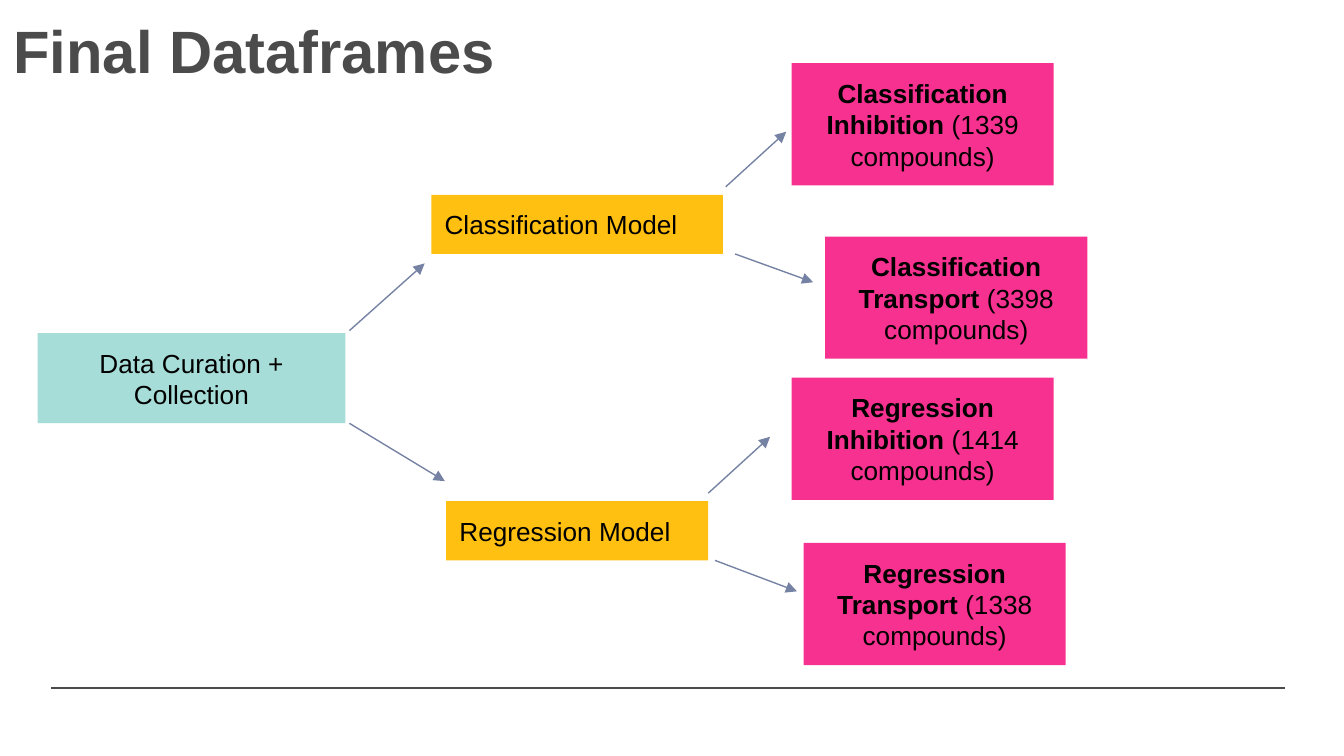
from pptx import Presentation
from pptx.dml.color import RGBColor
from pptx.enum.shapes import MSO_CONNECTOR, MSO_SHAPE
from pptx.enum.text import MSO_ANCHOR, PP_ALIGN
from pptx.oxml.ns import qn
from pptx.util import Inches, Pt
from lxml.etree import SubElement

GREY = RGBColor(0x4B, 0x4B, 0x4B)
BLACK = RGBColor(0, 0, 0)
TEAL = RGBColor(0xA7, 0xDD, 0xD8)
AMBER = RGBColor(0xFF, 0xC0, 0x12)
PINK = RGBColor(0xF7, 0x31, 0x90)
SLATE = RGBColor(0x76, 0x82, 0xA4)


class Board:
    font = "Arial"
    size = 14
    inset = 0.1

    def __init__(self, slide):
        self.slide = slide

    def style(self, run, size, color, bold=False):
        run.font.name = self.font
        run.font.size = Pt(size)
        run.font.color.rgb = color
        run.font.bold = bold

    def frame(self, shape, align):
        text = shape.text_frame
        text.word_wrap = True
        text.vertical_anchor = MSO_ANCHOR.MIDDLE
        text.margin_left = text.margin_right = Inches(self.inset)
        text.margin_top = text.margin_bottom = Inches(self.inset)
        para = text.paragraphs[0]
        para.alignment = align
        return para

    def title(self, words):
        shape = self.slide.shapes.title
        shape.left, shape.top = Inches(0), Inches(0)
        shape.width, shape.height = Inches(10), Inches(0.74)
        shape.text_frame.text = words
        para = self.frame(shape, PP_ALIGN.LEFT)
        self.style(para.runs[0], 32, GREY, True)

    def box(self, x, y, w, h, fill, parts, align=PP_ALIGN.CENTER):
        """Draw a filled box; parts are (words, bold) pairs."""
        shape = self.slide.shapes.add_shape(
            MSO_SHAPE.RECTANGLE, Inches(x), Inches(y), Inches(w), Inches(h))
        shape.shadow.inherit = False
        shape.fill.solid()
        shape.fill.fore_color.rgb = fill
        shape.line.fill.background()
        para = self.frame(shape, align)
        for words, bold in parts:
            run = para.add_run()
            run.text = words
            self.style(run, self.size, BLACK, bold)

    def line(self, start, end, color, arrow=False):
        link = self.slide.shapes.add_connector(
            MSO_CONNECTOR.STRAIGHT, *map(Inches, start + end))
        link.line.color.rgb = color
        link.line.width = Pt(0.75)
        if arrow:
            edge = link._element.spPr.find(qn("a:ln"))
            SubElement(edge, qn("a:tailEnd"), type="triangle")
        SubElement(link._element.spPr, qn("a:effectLst"))


def main():
    # Widescreen slide, 16 to 9
    deck = Presentation()
    deck.slide_width = Inches(10)
    deck.slide_height = Inches(10 * 9 / 16)
    board = Board(deck.slides.add_slide(deck.slide_layouts[5]))

    # Footer rule and title
    board.line((0.38, 5.12), (9.56, 5.12), GREY)
    board.title("Final Dataframes")

    # Source step
    board.box(0.28, 2.48, 2.29, 0.67, TEAL, [("Data Curation + Collection", False)])

    # Models
    for x, y, w, name in [(3.21, 1.45, 2.17, "Classification"),
                          (3.32, 3.73, 1.95, "Regression")]:
        board.box(x, y, w, 0.44, AMBER, [(f"{name} Model", False)], PP_ALIGN.LEFT)

    # Arrows: source to models, then models to dataframes
    for start, end in [((2.6, 2.46), (3.16, 1.96)),
                       ((2.6, 3.15), (3.31, 3.58)),
                       ((5.4, 1.39), (5.85, 0.98)),
                       ((5.47, 1.89), (6.05, 2.1)),
                       ((5.27, 3.67), (5.73, 3.25)),
                       ((5.32, 4.17), (5.93, 4.4))]:
        board.line(start, end, SLATE, arrow=True)

    # Final dataframes
    for x, y, name, count in [(5.89, 0.47, "Classification Inhibition", 1339),
                              (6.14, 1.76, "Classification Transport", 3398),
                              (5.89, 2.81, "Regression Inhibition", 1414),
                              (5.98, 4.04, "Regression Transport", 1338)]:
        board.box(x, y, 1.95, 0.91, PINK,
                  [(name, True), (f" ({count} compounds)", False)])

    deck.save("out.pptx")


if __name__ == "__main__":
    main()
